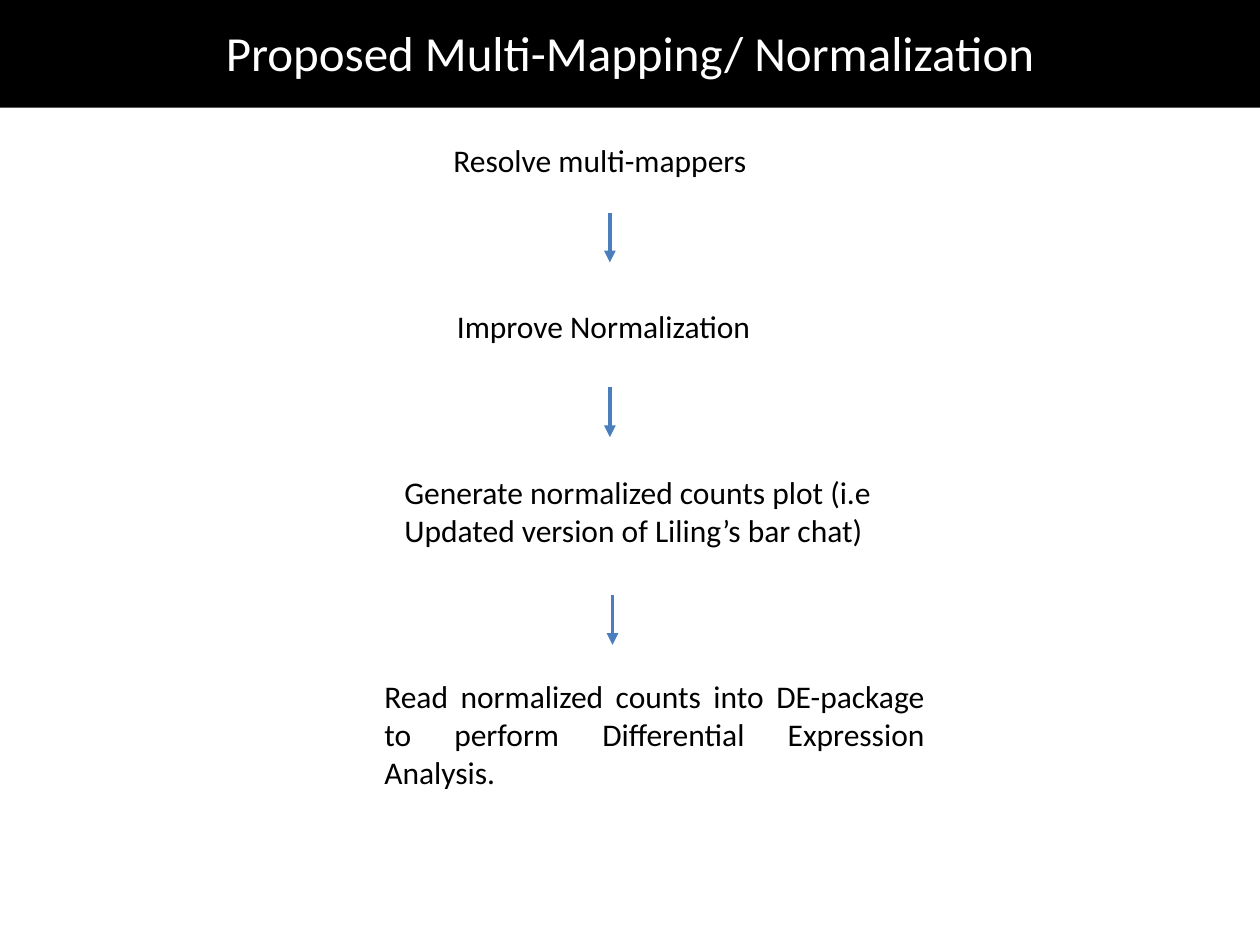
from pptx import Presentation
from pptx.dml.color import RGBColor
from pptx.enum.shapes import MSO_CONNECTOR
from pptx.enum.text import MSO_ANCHOR, MSO_AUTO_SIZE, PP_ALIGN
from pptx.oxml.ns import qn
from pptx.util import Pt
from lxml.etree import SubElement

TITLE = "Proposed Multi-Mapping/ Normalization"
# Workflow steps: text, left, top, width, height, alignment
STEPS = [
    ("Resolve multi-mappers", 252, 77, 215, 29, PP_ALIGN.LEFT),
    ("Improve Normalization", 254, 172, 215, 29, PP_ALIGN.LEFT),
    ("Generate normalized counts plot (i.e Updated version of Liling’s bar chat)",
     224, 267, 323, 51, PP_ALIGN.LEFT),
    ("Read normalized counts into DE-package to perform Differential Expression Analysis.",
     212.5, 383.5, 323, 73, PP_ALIGN.JUSTIFY),
]
# Arrows between steps: x, top
ARROWS = [(348.5, 121.5), (348.5, 221.25), (350, 340)]
ARROW_LENGTH = 28.5
COLORS = {"band": "000000", "title": "FFFFFF", "text": "000000", "arrow": "4B7EBC"}
FONT = "Calibri"


def color(name):
    return RGBColor.from_string(COLORS[name])


def write(sp, text, size, color_name, align):
    tf = sp.text_frame
    tf.word_wrap = True
    tf.text = text
    p = tf.paragraphs[0]
    p.alignment = align
    font = p.runs[0].font
    font.name, font.size = FONT, Pt(size)
    font.color.rgb = color(color_name)
    return tf


def place(sp, left, top, width, height):
    sp.left, sp.top, sp.width, sp.height = map(Pt, (left, top, width, height))


prs = Presentation()
prs.slide_width, prs.slide_height = Pt(720), Pt(540)
slide = prs.slides.add_slide(prs.slide_layouts[5])

# Title band
sp = slide.shapes.title
place(sp, 0, -2, 720, 63.5)
sp.fill.solid()
sp.fill.fore_color.rgb = color("band")
tf = write(sp, TITLE, 28, "title", PP_ALIGN.CENTER)
tf.vertical_anchor = MSO_ANCHOR.MIDDLE
tf.auto_size = MSO_AUTO_SIZE.NONE

# Steps
for text, left, top, width, height, align in STEPS:
    sp = slide.shapes.add_textbox(Pt(left), Pt(top), Pt(width), Pt(height))
    tf = write(sp, text, 18, "text", align)
    tf.auto_size = MSO_AUTO_SIZE.SHAPE_TO_FIT_TEXT

# Arrows
for x, top in ARROWS:
    sp = slide.shapes.add_connector(
        MSO_CONNECTOR.STRAIGHT, Pt(x), Pt(top), Pt(x), Pt(top + ARROW_LENGTH))
    sp.line.color.rgb = color("arrow")
    sp.line.width = Pt(2.25)
    SubElement(sp.line._get_or_add_ln(), qn("a:tailEnd"), type="triangle")
    SubElement(sp._element.spPr, qn("a:effectLst"))

prs.save("out.pptx")
